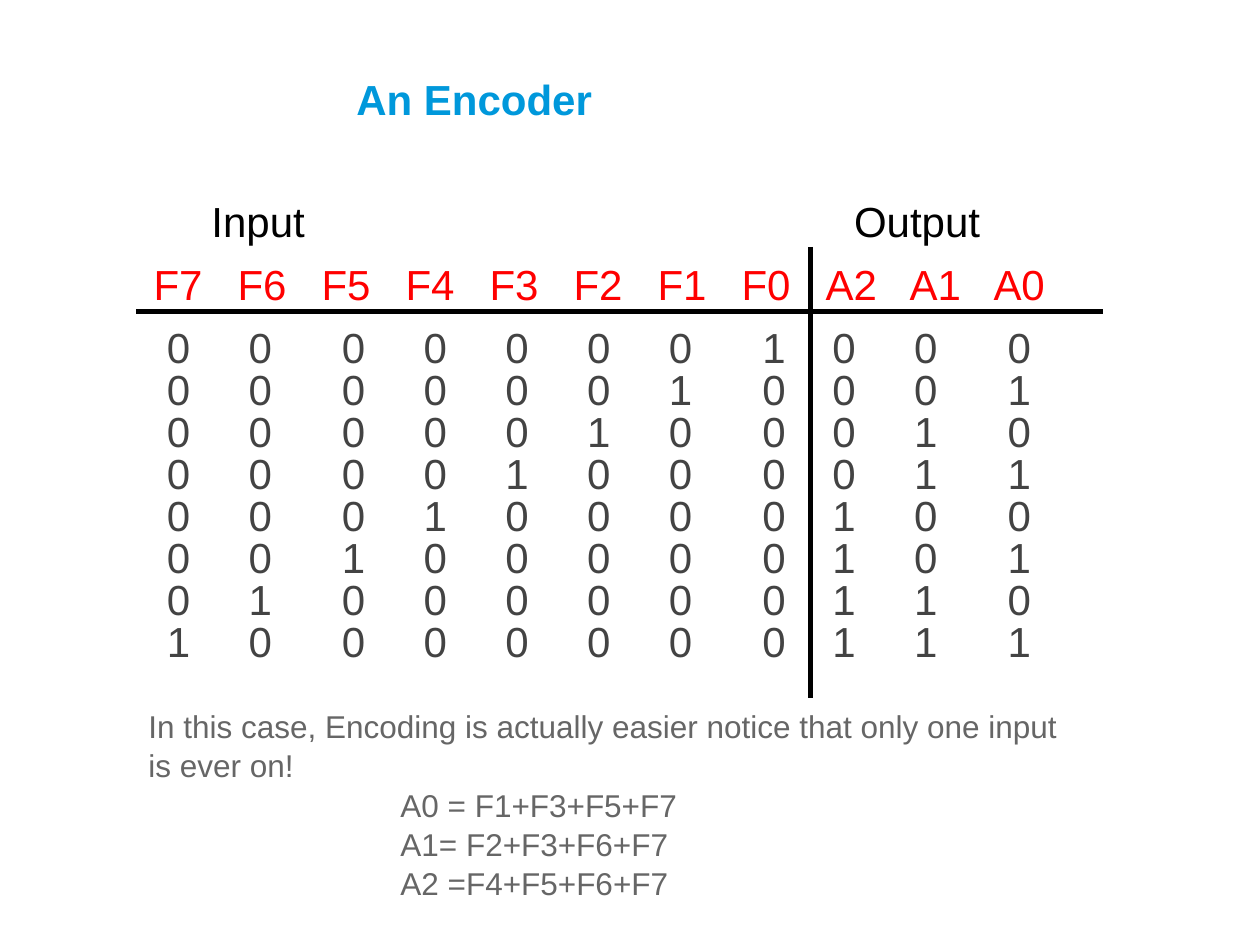
from dataclasses import dataclass
from itertools import accumulate

from lxml import etree
from pptx import Presentation
from pptx.dml.color import RGBColor
from pptx.enum.shapes import MSO_CONNECTOR
from pptx.enum.text import MSO_ANCHOR
from pptx.oxml.ns import qn
from pptx.util import Inches, Pt

STRAIGHT = MSO_CONNECTOR.STRAIGHT
TOP, MIDDLE, BOTTOM = MSO_ANCHOR.TOP, MSO_ANCHOR.MIDDLE, MSO_ANCHOR.BOTTOM


@dataclass(frozen=True)
class Theme:
    font: str = "Arial"
    title: str = "0098DB"
    label: str = "000000"
    signal: str = "FF0000"
    digit: str = "434343"
    note: str = "666666"
    rule: str = "000000"
    large: int = 24
    small: int = 18
    rule_width: int = 3


THEME = Theme()
BITS_IN, BITS_OUT = 8, 3
ROW_TOP, ROW_STEP = 2.5, 1 / 3
SIGNAL_STEP = 2 / 3
HALF_DIGIT = THEME.large * 0.278 / 72
DIGIT_STEPS = [3, 7, 8, 7, 7, 7, 7, 8, 6, 7, 8]


def add_text(s, box, lines, color, size=THEME.large, bold=False, anchor=TOP, margins=None):
    sp = s.shapes.add_textbox(*map(Inches, box))
    tf = sp.text_frame
    tf.word_wrap = True
    tf.vertical_anchor = anchor
    for name, value in (margins or {}).items():
        setattr(tf, name, Inches(value))
    for i, line in enumerate(lines):
        p = tf.paragraphs[0] if i == 0 else tf.add_paragraph()
        r = p.add_run()
        r.text = line
        for name, value in {"name": THEME.font, "size": Pt(size), "bold": bold}.items():
            setattr(r.font, name, value)
        r.font.color.rgb = RGBColor.from_string(color)
    return tf


def set_tabs(p, stops, align):
    tabs = etree.SubElement(p._p.get_or_add_pPr(), qn("a:tabLst"))
    for stop in stops:
        etree.SubElement(tabs, qn("a:tab"), pos=str(Inches(stop)), algn=align)


def add_tabbed(s, box, text, color, stops, align="l"):
    tf = add_text(s, box, [text], color)
    set_tabs(tf.paragraphs[0], stops, align)


def add_rule(s, x1, y1, x2, y2):
    line = s.shapes.add_connector(STRAIGHT, *map(Inches, (x1, y1, x2, y2)))
    line.line.color.rgb = RGBColor.from_string(THEME.rule)
    line.line.width = Pt(THEME.rule_width)
    etree.SubElement(line._element.spPr, qn("a:effectLst"))


def add_headings(s):
    add_tabbed(s, (1.58, 1.5, 6.92, 0.5), "Input\tOutput", THEME.label, [5.1])
    names = [f"F{i}" for i in reversed(range(BITS_IN))]
    names += [f"A{i}" for i in reversed(range(BITS_OUT))]
    stops = [i * SIGNAL_STEP for i in range(1, len(names))]
    add_tabbed(s, (1.12, 2, 7.42, 0.9), "\t".join(names), THEME.signal, stops)


def add_truth_rows(s):
    stops = [n * HALF_DIGIT for n in accumulate(DIGIT_STEPS)]
    for row in range(BITS_IN):
        bits = f"{1 << row:0{BITS_IN}b}{row:0{BITS_OUT}b}"
        box = (1.04, ROW_TOP + row * ROW_STEP, 7.58, 0.5)
        add_tabbed(s, box, "".join(f"\t{b}" for b in bits), THEME.digit, stops, "ctr")


def add_notes_text(s):
    lines = [
        "In this case, Encoding is actually easier notice that only one input is ever on!",
        "A0 = F1+F3+F5+F7",
        "A1= F2+F3+F6+F7",
        "A2 =F4+F5+F6+F7",
    ]
    margins = {"margin_top": 0.1, "margin_bottom": 0.4}
    tf = add_text(s, (1.08, 5.83, 7.58, 1.4), lines, THEME.note, THEME.small,
                  anchor=MIDDLE, margins=margins)
    for p in tf.paragraphs:
        p.line_spacing = 1.04
    for p in tf.paragraphs[1:]:
        pPr = p._p.get_or_add_pPr()
        pPr.set("marL", str(Inches(1.5)))
        pPr.set("indent", str(Inches(0.5)))


def main():
    prs = Presentation()
    prs.slide_width, prs.slide_height = Inches(10), Inches(7.5)
    s = prs.slides.add_slide(prs.slide_layouts[6])
    add_text(s, (2.73, 0.51, 5.66, 0.52), ["An Encoder"], THEME.title, bold=True, anchor=BOTTOM)
    add_headings(s)
    add_truth_rows(s)
    add_rule(s, 1.08, 2.47, 8.75, 2.47)
    add_rule(s, 6.43, 1.96, 6.43, 5.54)
    add_notes_text(s)
    prs.save("out.pptx")


if __name__ == "__main__":
    main()
